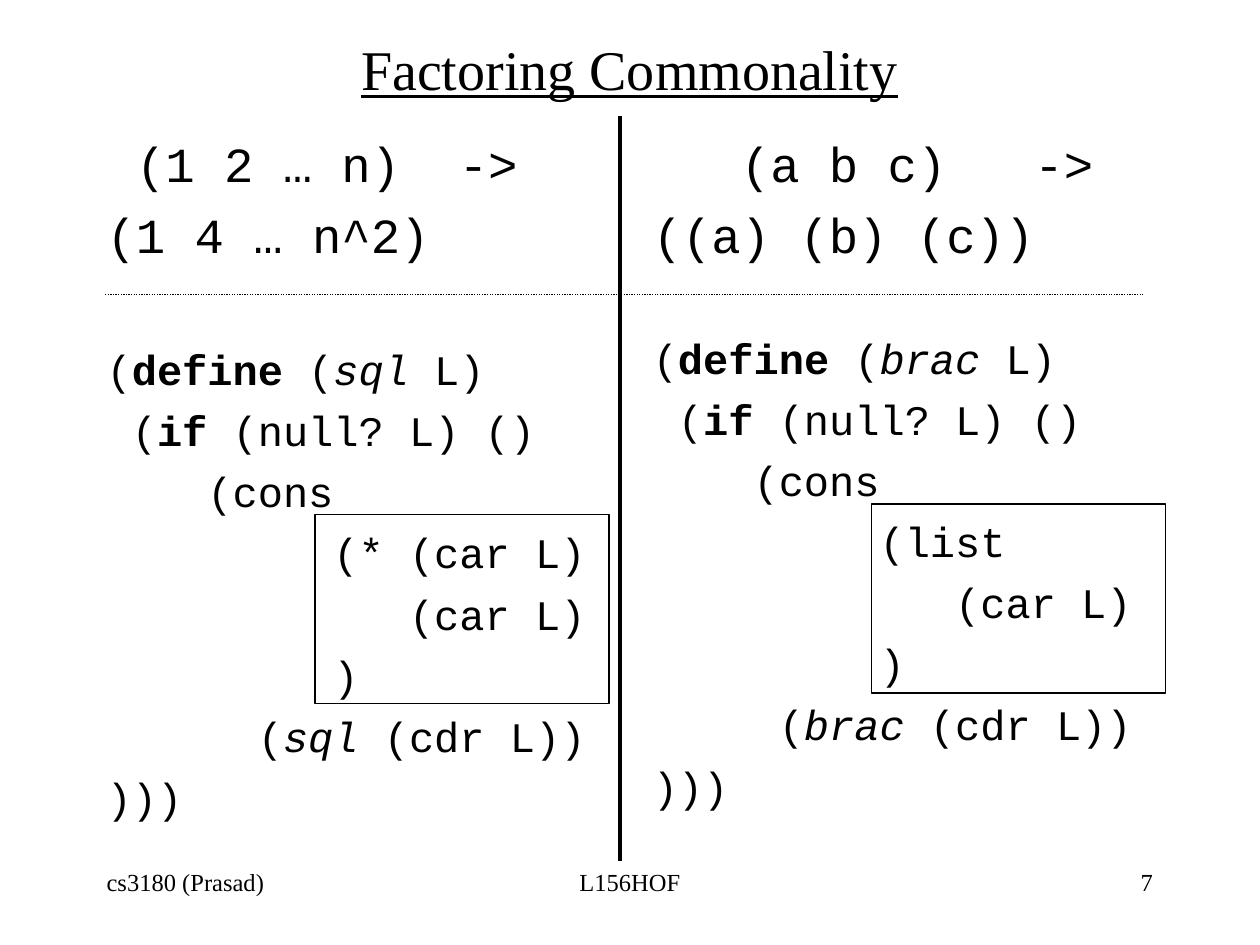
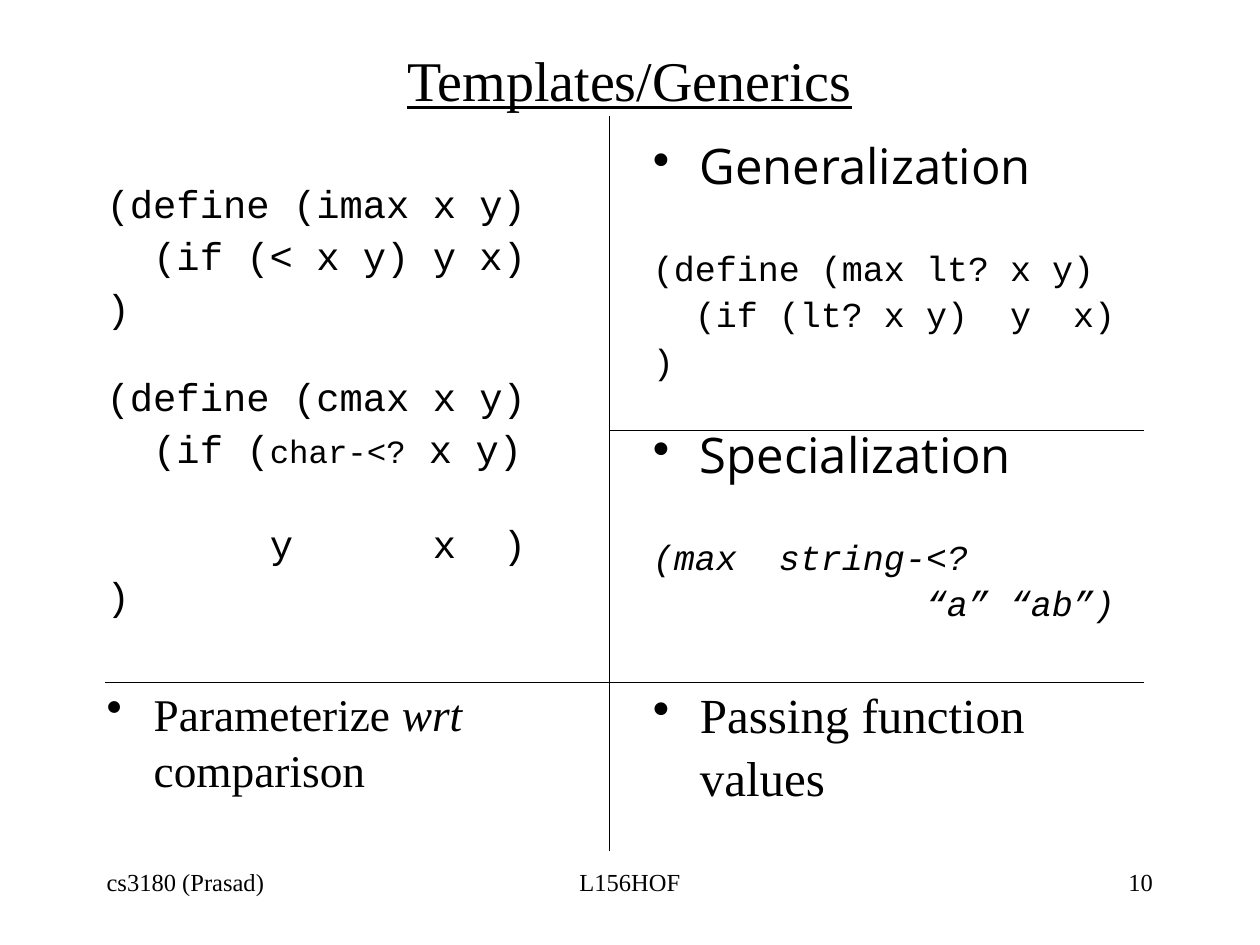
from lxml import etree
from pptx import Presentation
from pptx.dml.color import RGBColor
from pptx.enum.dml import MSO_LINE
from pptx.enum.shapes import MSO_CONNECTOR, MSO_SHAPE
from pptx.enum.text import MSO_ANCHOR, PP_ALIGN
from pptx.oxml.ns import qn
from pptx.util import Cm, Pt

LEFT, MID, RIGHT = PP_ALIGN.LEFT, PP_ALIGN.CENTER, PP_ALIGN.RIGHT
CENTRE = MSO_ANCHOR.MIDDLE
DOTS = MSO_LINE.ROUND_DOT
RECT = MSO_SHAPE.RECTANGLE
STRAIGHT = MSO_CONNECTOR.STRAIGHT

HUES = {"ink": "000000", "paper": "FFFFFF"}
SERIF, SANS, MONO = "Times New Roman", "Open Sans", "Courier New"
EDGE, HALF = 1.9, 12.91  # left edges of the two columns
WIDE = 10.58
HANG = 0.95
PITCH = {28: 34.1, 24: 28.9, 22.2: 23.7, 20: 21.6}  # line height of code


def hue(name):
    return RGBColor.from_string(HUES[name])


class Deck:
    def __init__(self):
        self.prs = Presentation()
        self.prs.slide_width, self.prs.slide_height = Cm(25.4), Cm(19.05)
        self.slide = None

    def page(self, title, top, number):
        """Start a slide with its title and footer."""
        self.slide = self.prs.slides.add_slide(self.prs.slide_layouts[6])
        fill = self.slide.background.fill
        fill.solid()
        fill.fore_color.rgb = hue("paper")
        feet = ((EDGE, 5.29, "cs3180 (Prasad)", LEFT),
                (8.68, 8.04, "L156HOF", MID),
                (18.2, 5.29, number, RIGHT))
        for left, width, text, align in feet:
            para = self.box(left, 17.36, width, 1.27).paragraphs[0]
            para.alignment = align
            self.run(para, text, 14)
        frame = self.box(EDGE, top, 21.59, 1.48)
        frame.vertical_anchor = CENTRE
        para = frame.paragraphs[0]
        para.alignment = MID
        self.run(para, title, 32, style="u")

    def box(self, left, top, width, height):
        frame = self.slide.shapes.add_textbox(
            Cm(left), Cm(top), Cm(width), Cm(height)).text_frame
        frame.word_wrap = True
        return frame

    def run(self, para, text, size, face=SERIF, style=""):
        """Add a run; style holds any of the letters b, i and u."""
        run = para.add_run()
        run.text = text
        font = run.font
        font.size, font.name = Pt(size), face
        font.color.rgb = hue("ink")
        font.bold, font.italic = "b" in style, "i" in style
        font.underline = "u" in style

    def para(self, frame, gap, pitch):
        """Give the next paragraph, with the space before and line height."""
        para = frame.paragraphs[0]
        if para.runs:
            para = frame.add_paragraph()
        para.space_before, para.line_spacing = Pt(gap), pitch
        return para

    def code(self, frame, size, rows, first, gap, style=""):
        """Add code rows (column, runs)."""
        for spot, (col, runs) in enumerate(rows):
            para = self.para(frame, gap if spot else first, Pt(PITCH[size]))
            props = para._p.get_or_add_pPr()
            props.set("marL", "0")
            props.set("indent", str(Pt(col * 0.6 * size)))
            for part in runs:
                text, look, high = (*part, size)[:3]
                self.run(para, text, high, MONO, look or style)

    def point(self, frame, runs, size, face, gap, pitch):
        """Add a bulleted paragraph."""
        para = self.para(frame, gap, pitch)
        props = para._p.get_or_add_pPr()
        props.set("marL", str(Cm(HANG)))
        props.set("indent", str(-Cm(HANG)))
        etree.SubElement(props, qn("a:buChar"), char="•")
        for text, look in runs:
            self.run(para, text, size, face, look)

    def rect(self, left, top, width, height):
        shape = self.slide.shapes.add_shape(
            RECT, Cm(left), Cm(top), Cm(width), Cm(height))
        shape.shadow.inherit = False
        shape.fill.solid()
        shape.fill.fore_color.rgb = hue("paper")
        shape.line.color.rgb = hue("ink")
        shape.line.width = Pt(0.75)

    def line(self, x1, y1, x2, y2, width=0.75, dash=None):
        link = self.slide.shapes.add_connector(
            STRAIGHT, Cm(x1), Cm(y1), Cm(x2), Cm(y2))
        link.line.color.rgb = hue("ink")
        link.line.width = Pt(width)
        if dash:
            link.line.dash_style = dash
        etree.SubElement(link._element.spPr, qn("a:effectLst"))


def plain(col, text):
    return col, [(text, "")]


def recur(name, core, col):
    """Rows of a list function that differs only in name and core."""
    return [
        (0, [("(", ""), ("define", "b"), (" (", ""), (name, "i"), (" L)", "")]),
        (1, [("(", ""), ("if", "b"), (" (null? L) ()", "")]),
        plain(4, "(cons"),
        plain(9, core),
        plain(12, "(car L)"),
        plain(9, ")"),
        (col, [("(", ""), (name, "i"), (" (cdr L))", "")]),
        plain(0, ")))"),
    ]


def factor(deck):
    deck.page("Factoring Commonality", 0.64, "7")
    for left, top in ((17.57, 10.16), (6.35, 10.37)):
        deck.rect(left, top, 5.93, 3.81)
    deck.line(12.49, 2.33, 12.49, 17.36, 2.25)
    deck.line(2.12, 5.93, 23.07, 5.93, dash=DOTS)
    sides = (
        (EDGE, [plain(1, "(1 2 … n)  ->"), plain(0, "(1 4 … n^2)")],
         recur("sql", "(* (car L)", 6), 45.5),
        (HALF, [plain(3, "(a b c)   ->"), plain(0, "((a) (b) (c))")],
         recur("brac", "(list", 5), 39),
    )
    for left, goal, body, skip in sides:
        frame = deck.box(left, 2.54, WIDE, 14.39)
        deck.code(frame, 28, goal, 0, 7)
        deck.code(frame, 24, body, skip, 6)


def generic(deck):
    deck.page("Templates/Generics", 0.85, "10")
    frame = deck.box(EDGE, 2.75, WIDE, 14.18)
    frame.margin_top = Cm(0.98)
    deck.code(frame, 22.2, [
        plain(0, "(define (imax x y)"),
        plain(2, "(if (< x y) y x)"),
        plain(0, ")"),
    ], 0, 6)
    deck.code(frame, 22.2, [
        plain(0, "(define (cmax x y)"),
        (2, [("(if (", ""), ("char-<?", "", 18.5), (" x y)", "")]),
    ], 27, 6)
    deck.code(frame, 22.2, [
        plain(7, "y      x  )"),
        plain(0, ")"),
    ], 30.5, 6)
    deck.point(frame, [("Parameterize ", ""), ("wrt", "i"),
                       (" comparison", "")], 25.9, SERIF, 37.5, 1.04)

    frame = deck.box(HALF, 2.75, WIDE, 14.18)
    deck.point(frame, [("Generalization", "")], 28, SANS, 0, 0.9)
    deck.code(frame, 20, [
        plain(0, "(define (max lt? x y)"),
        plain(2, "(if (lt? x y)  y  x)"),
        plain(0, ")"),
    ], 31.5, 5)
    deck.point(frame, [("Specialization", "")], 28, SANS, 28.5, 0.9)
    deck.code(frame, 20, [
        plain(0, "(max  string-<?"),
        plain(13, "“a” “ab”)"),
    ], 31.5, 5, "i")
    deck.point(frame, [("Passing function values", "")], 28, SERIF, 33, 1.06)

    deck.line(12.28, 2.33, 12.28, 17.15)
    deck.line(12.28, 8.68, 23.07, 8.68)
    deck.line(2.12, 13.76, 23.07, 13.76)


def main():
    deck = Deck()
    factor(deck)
    generic(deck)
    deck.prs.save("out.pptx")


if __name__ == "__main__":
    main()
